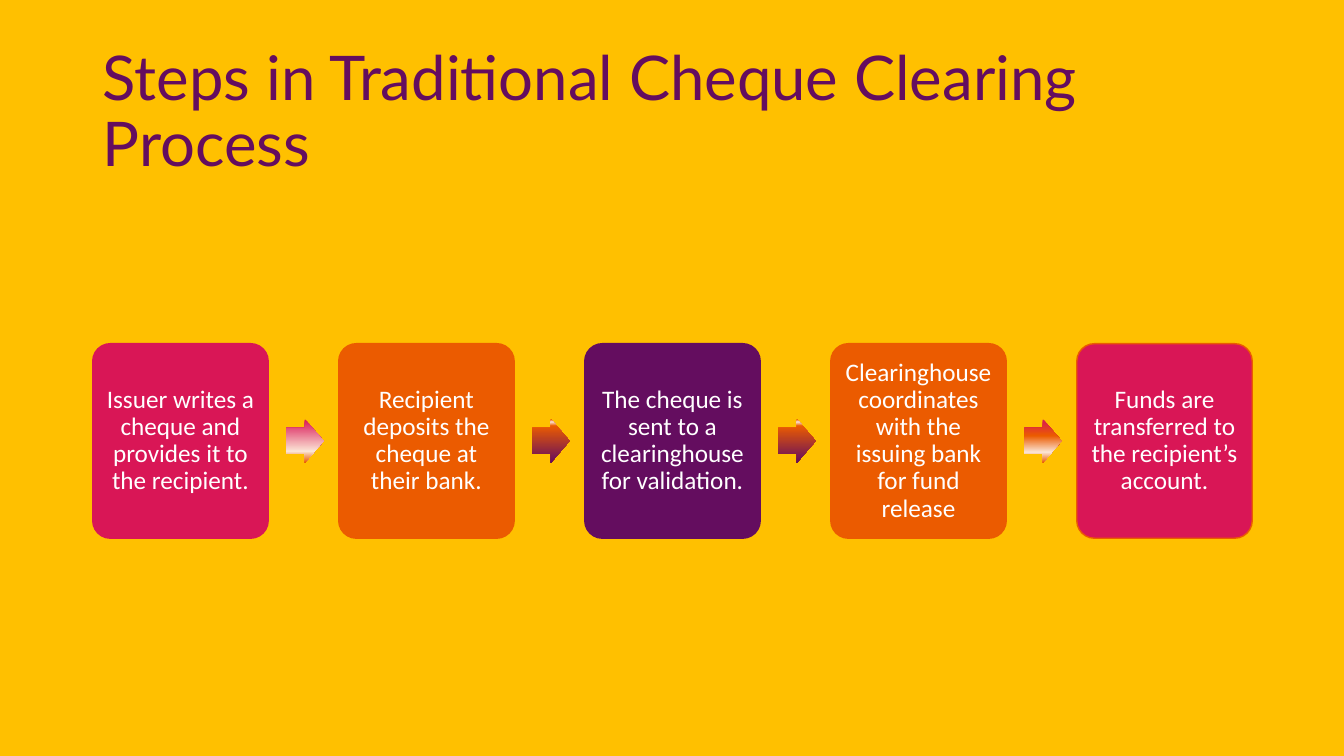
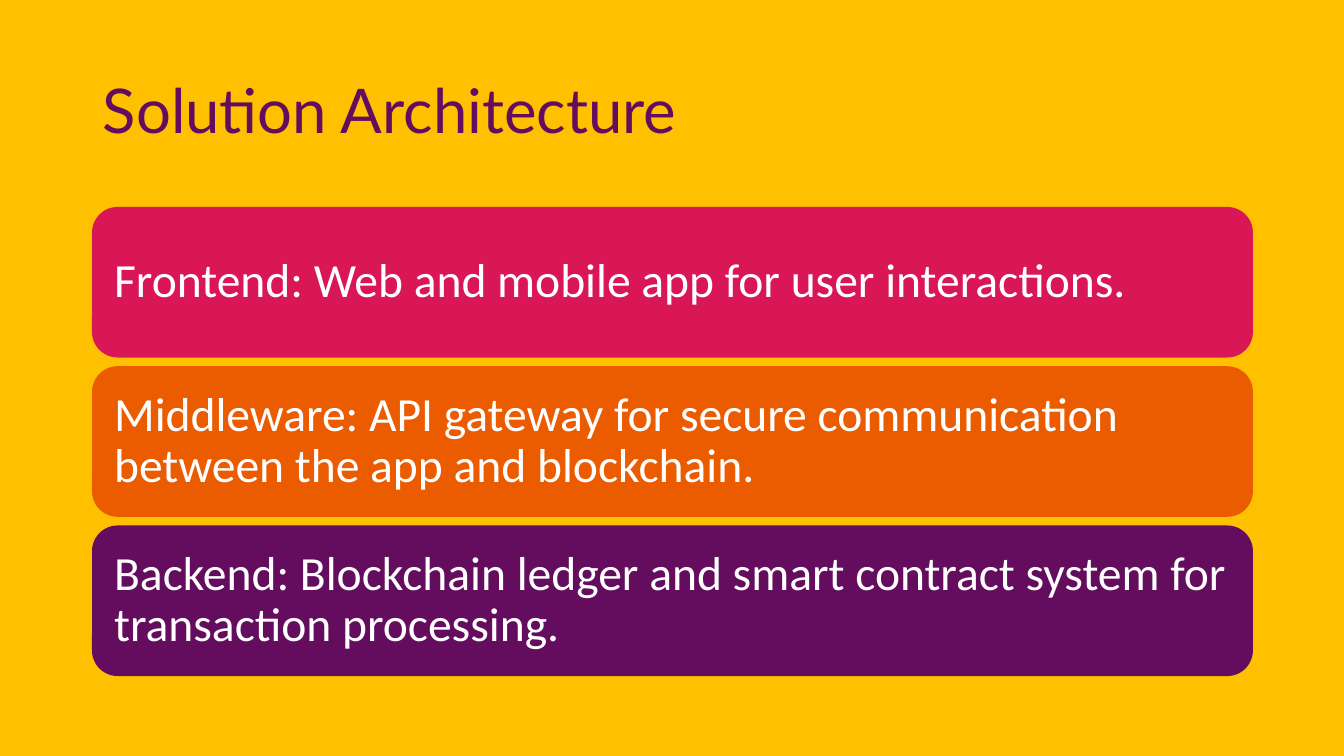
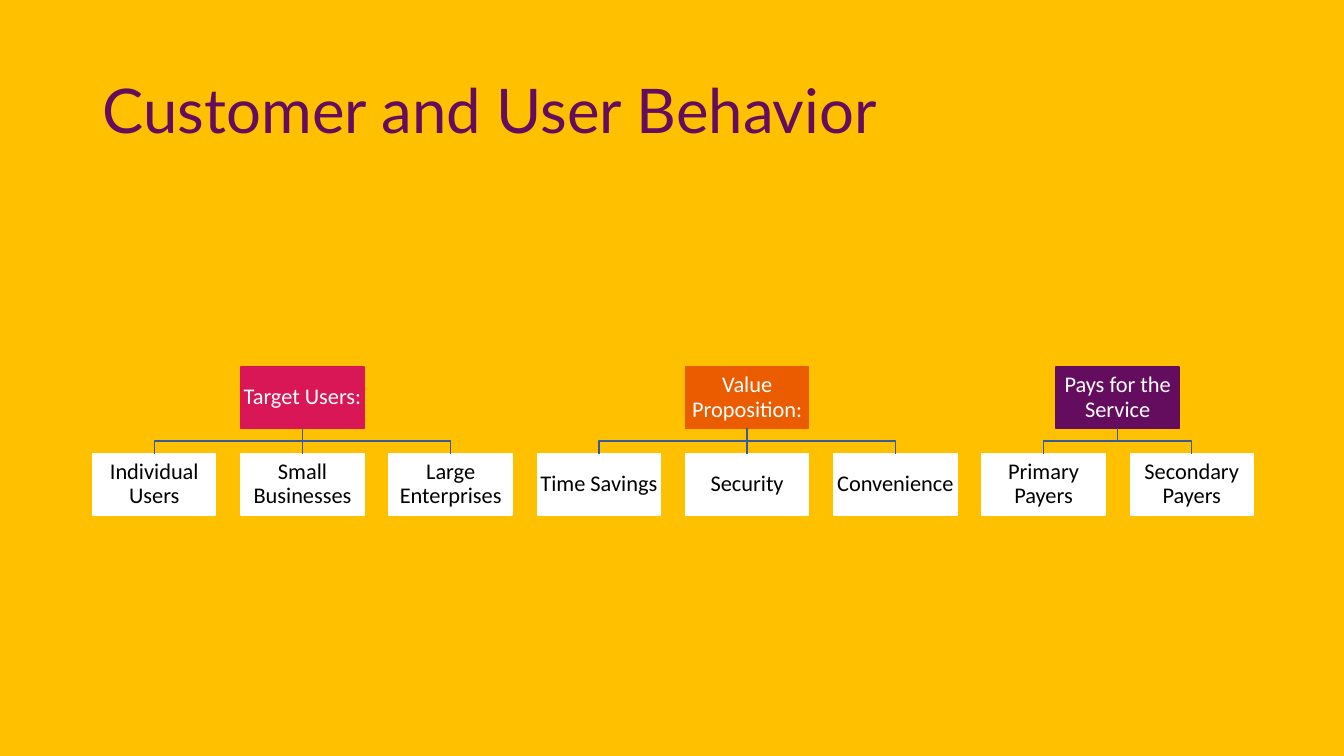
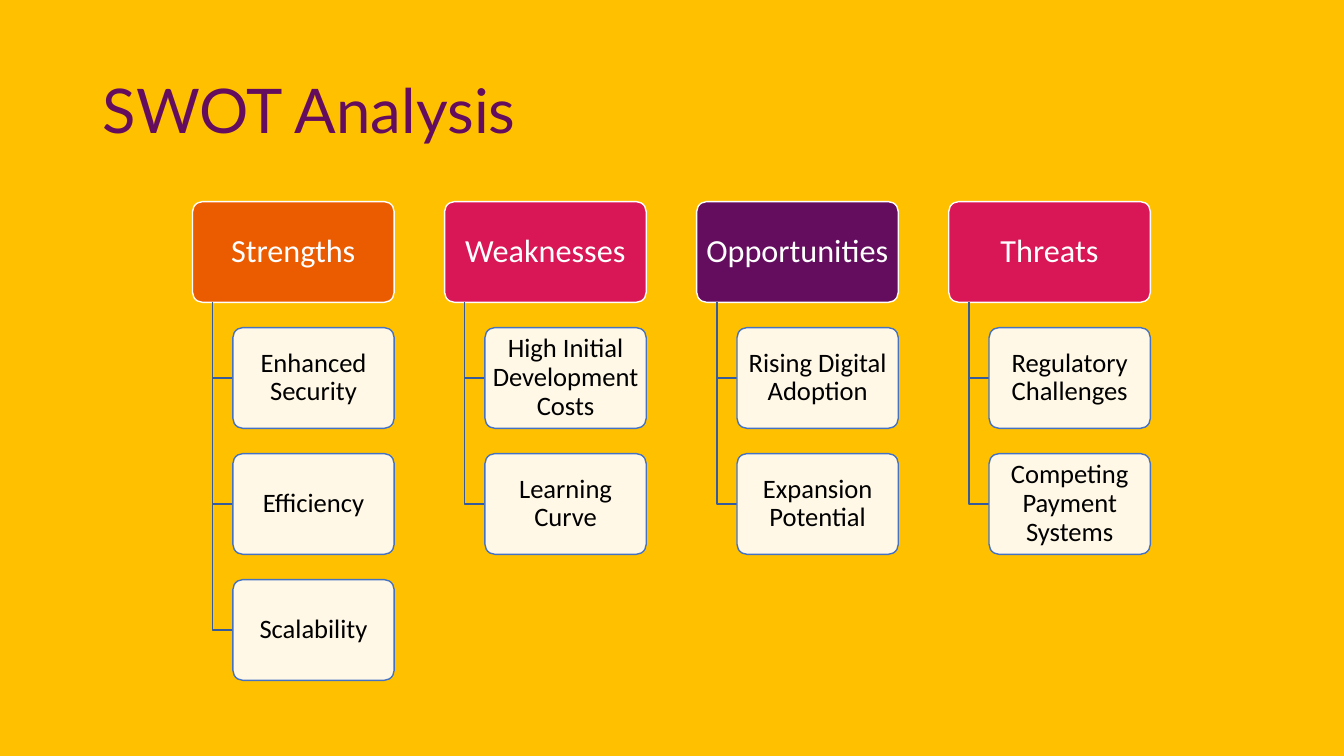
from dataclasses import dataclass

from pptx import Presentation
from pptx.dml.color import RGBColor
from pptx.enum.shapes import MSO_CONNECTOR, MSO_SHAPE
from pptx.enum.text import MSO_ANCHOR, MSO_AUTO_SIZE, PP_ALIGN
from pptx.oxml.ns import qn
from pptx.oxml.xmlchemy import OxmlElement
from pptx.util import Inches, Pt

RECT = MSO_SHAPE.RECTANGLE
ROUND = MSO_SHAPE.ROUNDED_RECTANGLE
ARROW = MSO_SHAPE.RIGHT_ARROW
STRAIGHT = MSO_CONNECTOR.STRAIGHT
MIDDLE = MSO_ANCHOR.MIDDLE
NO_AUTOFIT = MSO_AUTO_SIZE.NONE
LEFT = PP_ALIGN.LEFT
CENTER = PP_ALIGN.CENTER
BOTTOM_SIDE, TOP_SIDE = 2, 0

AMBER = RGBColor(0xFF, 0xC0, 0x00)
PURPLE = RGBColor(0x64, 0x0D, 0x5F)
PINK = RGBColor(0xD9, 0x16, 0x56)
ORANGE = RGBColor(0xEB, 0x5B, 0x00)
PEACH = RGBColor(0xFB, 0xE5, 0xD6)
APRICOT = RGBColor(0xF4, 0xB1, 0x83)
WHITE = RGBColor(0xFF, 0xFF, 0xFF)
BLACK = RGBColor(0x00, 0x00, 0x00)
BLUE = RGBColor(0x44, 0x72, 0xC4)
DARK_BLUE = RGBColor(0x36, 0x5B, 0x9D)

TITLE_FONT = "Lato"
BODY_FONT = "Calibri"
MARGIN = 0.92
CONTENT_WIDTH = 11.5


@dataclass(frozen=True)
class BoxStyle:
    size: float
    inset_x: float
    inset_y: float
    kind: int = ROUND
    radius: float | None = None
    ink: RGBColor = WHITE
    align: int = CENTER
    opacity: int = 100


@dataclass(frozen=True)
class Step:
    text: str
    fill: RGBColor
    line: RGBColor


@dataclass(frozen=True)
class Branch:
    heading: str
    fill: RGBColor
    items: tuple[str, ...]


STEP_BOX = BoxStyle(18, 0.07, 0.07, radius=0.1)
LAYER_BOX = BoxStyle(34, 0.14, 0.14, align=LEFT)
GROUP_BOX = BoxStyle(16, 0.01, 0.01, kind=RECT)
MEMBER_BOX = BoxStyle(16, 0.01, 0.01, kind=RECT, ink=BLACK)
SWOT_HEADING = BoxStyle(23, 0.05, 0.03, radius=0.1)
SWOT_ITEM = BoxStyle(19, 0.04, 0.03, radius=0.1, ink=BLACK, opacity=90)

STEPS = (
    Step("Issuer writes a cheque and provides it to the recipient.", PINK, PINK),
    Step("Recipient deposits the cheque at their bank.", ORANGE, ORANGE),
    Step("The cheque is sent to a clearinghouse for validation.", PURPLE, PURPLE),
    Step("Clearinghouse coordinates with the issuing bank for fund release",
         ORANGE, ORANGE),
    Step("Funds are transferred to the recipient’s account.", PINK, ORANGE),
)
TO_PURPLE = ((0, ORANGE), (6, PEACH), (15, ORANGE), (100, PURPLE))
ARROW_GRADIENTS = (
    ((0, PINK), (74, PEACH), (83, APRICOT), (100, ORANGE)),
    TO_PURPLE,
    TO_PURPLE,
    ((0, PINK), (38, ORANGE), (76, PEACH), (100, ORANGE)),
)
LAYERS = (
    ("Frontend: Web and mobile app for user interactions.", PINK),
    ("Middleware: API gateway for secure communication between the app "
     "and blockchain.", ORANGE),
    ("Backend: Blockchain ledger and smart contract system for transaction "
     "processing.", PURPLE),
)
USER_GROUPS = (
    Branch("Target Users:", PINK,
           ("Individual Users", "Small Businesses", "Large Enterprises")),
    Branch("Value Proposition:", ORANGE,
           ("Time Savings", "Security", "Convenience")),
    Branch("Pays for the Service", PURPLE,
           ("Primary Payers", "Secondary Payers")),
)
SWOT = (
    Branch("Strengths", ORANGE,
           ("Enhanced Security", "Efficiency", "Scalability")),
    Branch("Weaknesses", PINK,
           ("High Initial Development Costs", "Learning Curve")),
    Branch("Opportunities", PURPLE,
           ("Rising Digital Adoption", "Expansion Potential")),
    Branch("Threats", PINK,
           ("Regulatory Challenges", "Competing Payment Systems")),
)


def write(tf, text: str, *, size: float, color: RGBColor,
          font: str = BODY_FONT, align: int = CENTER) -> None:
    tf.word_wrap = True
    tf.vertical_anchor = MIDDLE
    p = tf.paragraphs[0]
    p.alignment = align
    p.line_spacing = 0.9
    r = p.add_run()
    r.text = text
    r.font.name = font
    r.font.size = Pt(size)
    r.font.color.rgb = color


def set_line(shape, color: RGBColor) -> None:
    shape.line.color.rgb = color
    shape.line.width = Pt(1)


def set_opacity(shape, percent: int) -> None:
    color = shape._element.spPr.find(qn("a:solidFill"))[0]
    alpha = OxmlElement("a:alpha")
    alpha.set("val", str(percent * 1000))
    color.append(alpha)


def set_gradient(shape, stops: tuple[tuple[int, RGBColor], ...]) -> None:
    """Fill from top to bottom with (percent, colour) stops."""
    shape.fill.gradient()
    shape.fill.gradient_angle = 270
    stop_list = shape._element.spPr.find(qn("a:gradFill")).find(qn("a:gsLst"))
    for stop in list(stop_list):
        stop_list.remove(stop)
    for percent, rgb in stops:
        stop = OxmlElement("a:gs")
        stop.set("pos", str(percent * 1000))
        color = OxmlElement("a:srgbClr")
        color.set("val", str(rgb))
        stop.append(color)
        stop_list.append(stop)


def add_box(s, text: str, x: float, y: float, w: float, h: float,
            style: BoxStyle, fill: RGBColor, line: RGBColor):
    box = s.shapes.add_shape(style.kind, Inches(x), Inches(y),
                             Inches(w), Inches(h))
    box.shadow.inherit = False
    if style.radius is not None:
        box.adjustments[0] = style.radius
    box.fill.solid()
    box.fill.fore_color.rgb = fill
    if style.opacity < 100:
        set_opacity(box, style.opacity)
    set_line(box, line)
    tf = box.text_frame
    tf.margin_left = tf.margin_right = Inches(style.inset_x)
    tf.margin_top = tf.margin_bottom = Inches(style.inset_y)
    write(tf, text, size=style.size, color=style.ink, align=style.align)
    return box


def add_polyline(s, points: list[tuple[float, float]]) -> None:
    start, *rest = [(Inches(x), Inches(y)) for x, y in points]
    builder = s.shapes.build_freeform(*start)
    builder.add_line_segments(rest, close=False)
    outline = builder.convert_to_shape()
    outline.shadow.inherit = False
    outline.fill.background()
    set_line(outline, DARK_BLUE)


def join_vertically(s, upper, lower) -> None:
    connector = s.shapes.add_connector(STRAIGHT, 0, 0, 0, 0)
    connector.begin_connect(upper, BOTTOM_SIDE)
    connector.end_connect(lower, TOP_SIDE)
    set_line(connector, DARK_BLUE)
    connector._element.spPr.append(OxmlElement("a:effectLst"))


def prepare_layout(prs):
    """Give the title-only layout the shared background and title place."""
    layout = prs.slide_layouts[5]
    layout.background.fill.solid()
    layout.background.fill.fore_color.rgb = AMBER
    title = layout.placeholders[0]
    title.left, title.top = Inches(MARGIN), Inches(0.4)
    title.width, title.height = Inches(CONTENT_WIDTH), Inches(1.45)
    return layout


def add_slide(prs, layout, title: str):
    s = prs.slides.add_slide(layout)
    tf = s.shapes.title.text_frame
    tf.auto_size = NO_AUTOFIT
    write(tf, title, size=44, color=PURPLE, font=TITLE_FONT, align=LEFT)
    return s


def draw_steps(s) -> None:
    top, width, height, pitch = 3.41, 1.74, 1.93, 2.44
    arrow_w, arrow_h = 0.37, 0.43
    for i, step in enumerate(STEPS):
        add_box(s, step.text, MARGIN + i * pitch, top, width, height,
                STEP_BOX, step.fill, step.line)
    for i, stops in enumerate(ARROW_GRADIENTS):
        arrow = s.shapes.add_shape(
            ARROW, Inches(MARGIN + i * pitch + 1.92),
            Inches(top + (height - arrow_h) / 2),
            Inches(arrow_w), Inches(arrow_h))
        arrow.shadow.inherit = False
        arrow.adjustments[0] = 0.6
        arrow.adjustments[1] = 0.5
        arrow.line.fill.background()
        set_gradient(arrow, stops)


def draw_layers(s) -> None:
    top, height, gap = 2.06, 1.48, 0.1
    for i, (text, color) in enumerate(LAYERS):
        add_box(s, text, MARGIN, top + i * (height + gap), CONTENT_WIDTH,
                height, LAYER_BOX, color, color)


def draw_user_groups(s) -> None:
    width, height, pitch = 1.22, 0.61, 1.47
    group_top, member_top = 3.64, 4.5
    group_bottom = group_top + height
    bend = (group_bottom + member_top) / 2
    first_x = MARGIN
    for branch in USER_GROUPS:
        count = len(branch.items)
        group_x = first_x + (count - 1) * pitch / 2
        group = add_box(s, branch.heading, group_x, group_top, width, height,
                        GROUP_BOX, branch.fill, branch.fill)
        for i, item in enumerate(branch.items):
            x = first_x + i * pitch
            member = add_box(s, item, x, member_top, width, height,
                             MEMBER_BOX, WHITE, WHITE)
            if 2 * i == count - 1:
                join_vertically(s, group, member)
            else:
                start, end = group_x + width / 2, x + width / 2
                add_polyline(s, [(start, group_bottom), (start, bend),
                                 (end, bend), (end, member_top)])
        first_x += count * pitch


def draw_swot(s) -> None:
    left, top, width, height = 1.91, 2, 2, 1
    column_pitch, row_pitch = 2.5, 1.25
    stem, indent = 0.2, 0.4
    for column, branch in enumerate(SWOT):
        x = left + column * column_pitch
        add_box(s, branch.heading, x, top, width, height,
                SWOT_HEADING, branch.fill, WHITE)
        for row, item in enumerate(branch.items, start=1):
            y = top + row * row_pitch
            middle = y + height / 2
            add_polyline(s, [(x + stem, top + height), (x + stem, middle),
                             (x + indent, middle)])
            add_box(s, item, x + indent, y, width - indent, height,
                    SWOT_ITEM, WHITE, BLUE)


def main() -> None:
    prs = Presentation()
    prs.slide_width, prs.slide_height = Inches(13.33), Inches(7.5)
    layout = prepare_layout(prs)
    for title, draw in (
        ("Steps in Traditional Cheque Clearing Process", draw_steps),
        ("Solution Architecture", draw_layers),
        ("Customer and User Behavior", draw_user_groups),
        ("SWOT Analysis", draw_swot),
    ):
        draw(add_slide(prs, layout, title))
    prs.save("out.pptx")


if __name__ == "__main__":
    main()
